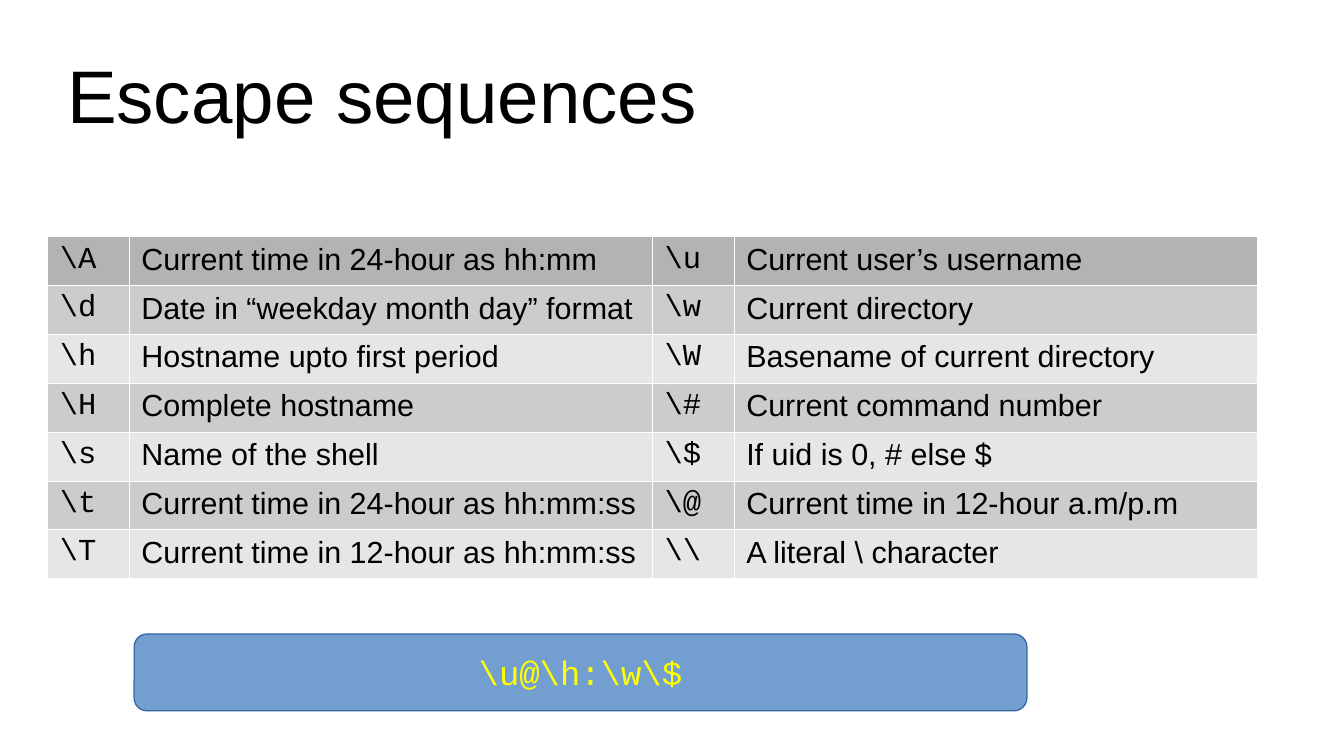
from lxml import etree
from pptx import Presentation
from pptx.dml import color as dml
from pptx.enum import shapes, text
from pptx.oxml import ns
from pptx.util import Inches, Pt

SANS, MONO = "Arial", "Courier New"
HUES = {
    "ink": "000000", "head": "B3B3B3", "dark": "CCCCCC", "light": "E6E6E6",
    "rule": "FFFFFF", "box": "729FCF", "edge": "3465A4", "prompt": "FFFF00",
}
ROWS = [
    (r"\A", "Current time in 24-hour as hh:mm", r"\u", "Current user’s username"),
    (r"\d", "Date in “weekday month day” format", r"\w", "Current directory"),
    (r"\h", "Hostname upto first period", r"\W", "Basename of current directory"),
    (r"\H", "Complete hostname", r"\#", "Current command number"),
    (r"\s", "Name of the shell", r"\$", "If uid is 0, # else $"),
    (r"\t", "Current time in 24-hour as hh:mm:ss", r"\@", "Current time in 12-hour a.m/p.m"),
    (r"\T", "Current time in 12-hour as hh:mm:ss", r"\\", r"A literal \ character"),
]


def write(para, words, face, size, hue="ink"):
    para.text = words
    para.font.name = face
    para.font.size = Pt(size)
    para.font.color.rgb = dml.RGBColor.from_string(HUES[hue])


def rule(cell):
    props = cell._tc.get_or_add_tcPr()
    for spot, side in enumerate(("lnL", "lnR", "lnT", "lnB")):
        line = etree.Element(ns.qn(f"a:{side}"), w=str(Pt(0.06)))
        fill = etree.SubElement(line, ns.qn("a:solidFill"))
        etree.SubElement(fill, ns.qn("a:srgbClr"), val=HUES["rule"])
        props.insert(spot, line)


deck = Presentation()
deck.slide_width, deck.slide_height = Inches(11.02), Inches(6.2)
slide = deck.slides.add_slide(deck.slide_layouts[6])

# Title
title = slide.shapes.add_textbox(Inches(0.55), Inches(0.25), Inches(9.92), Inches(1.04))
frame = title.text_frame
frame.word_wrap = True
frame.vertical_anchor = text.MSO_ANCHOR.MIDDLE
frame.margin_left = frame.margin_right = frame.margin_top = frame.margin_bottom = 0
write(frame.paragraphs[0], "Escape sequences", SANS, 44)

# Table of sequences: code and meaning, twice per row
table = slide.shapes.add_table(
    len(ROWS), 4, Inches(0.39), Inches(1.94), Inches(9.92), Inches(2.8)).table
for col, width in zip(table.columns, (0.67, 4.29) * 2):
    col.width = Inches(width)
for r, row in enumerate(ROWS):
    table.rows[r].height = Inches(0.4)
    band = "head" if r == 0 else "dark" if r % 2 else "light"
    for c, words in enumerate(row):
        cell = table.cell(r, c)
        cell.fill.solid()
        cell.fill.fore_color.rgb = dml.RGBColor.from_string(HUES[band])
        rule(cell)
        write(cell.text_frame.paragraphs[0], words, SANS if c % 2 else MONO, 18)
        cell.text_frame.paragraphs[0].font.bold = False

# Sample prompt
box = slide.shapes.add_shape(
    shapes.MSO_SHAPE.ROUNDED_RECTANGLE, Inches(1.1), Inches(5.2), Inches(7.32), Inches(0.63))
box.shadow.inherit = False
box.fill.solid()
box.fill.fore_color.rgb = dml.RGBColor.from_string(HUES["box"])
box.line.color.rgb = dml.RGBColor.from_string(HUES["edge"])
box.line.width = Pt(0)
box.text_frame.word_wrap = False
box.text_frame.vertical_anchor = text.MSO_ANCHOR.MIDDLE
para = box.text_frame.paragraphs[0]
para.alignment = text.PP_ALIGN.CENTER
write(para, r"\u@\h:\w\$", MONO, 20, "prompt")

deck.save("out.pptx")
